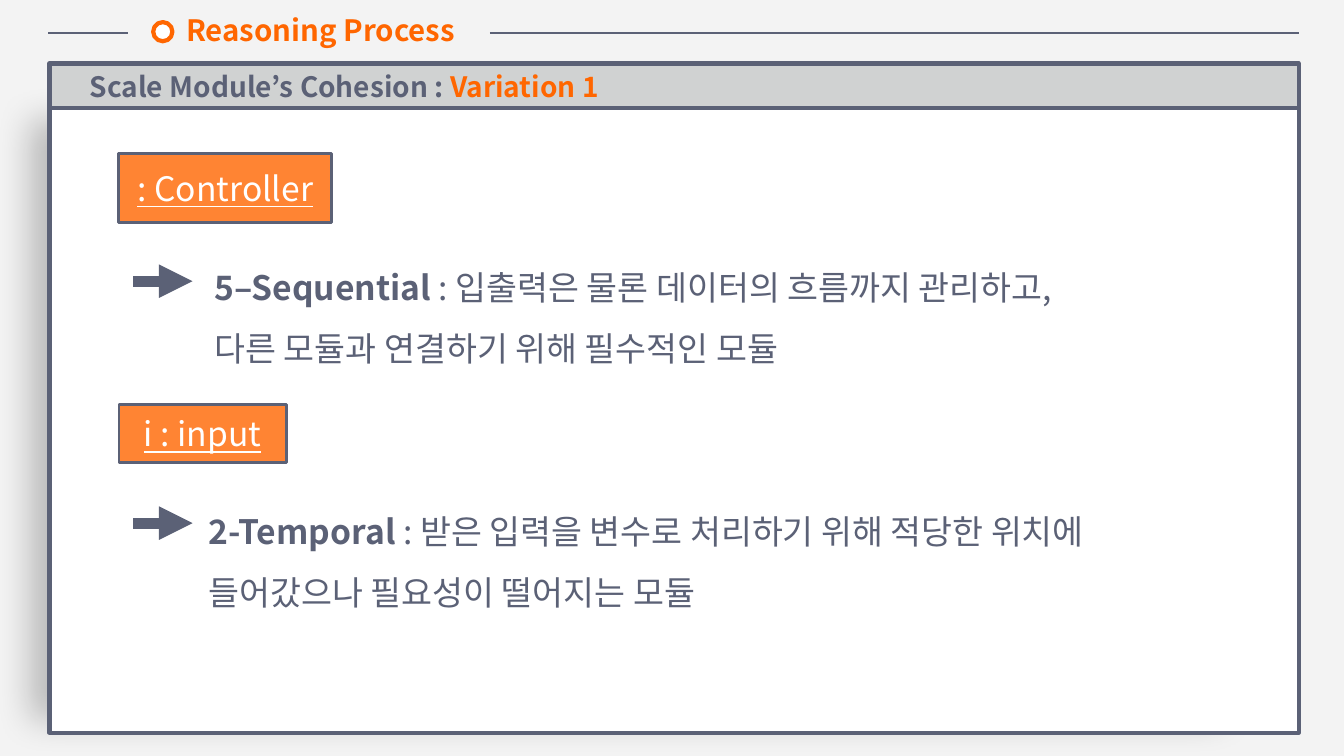
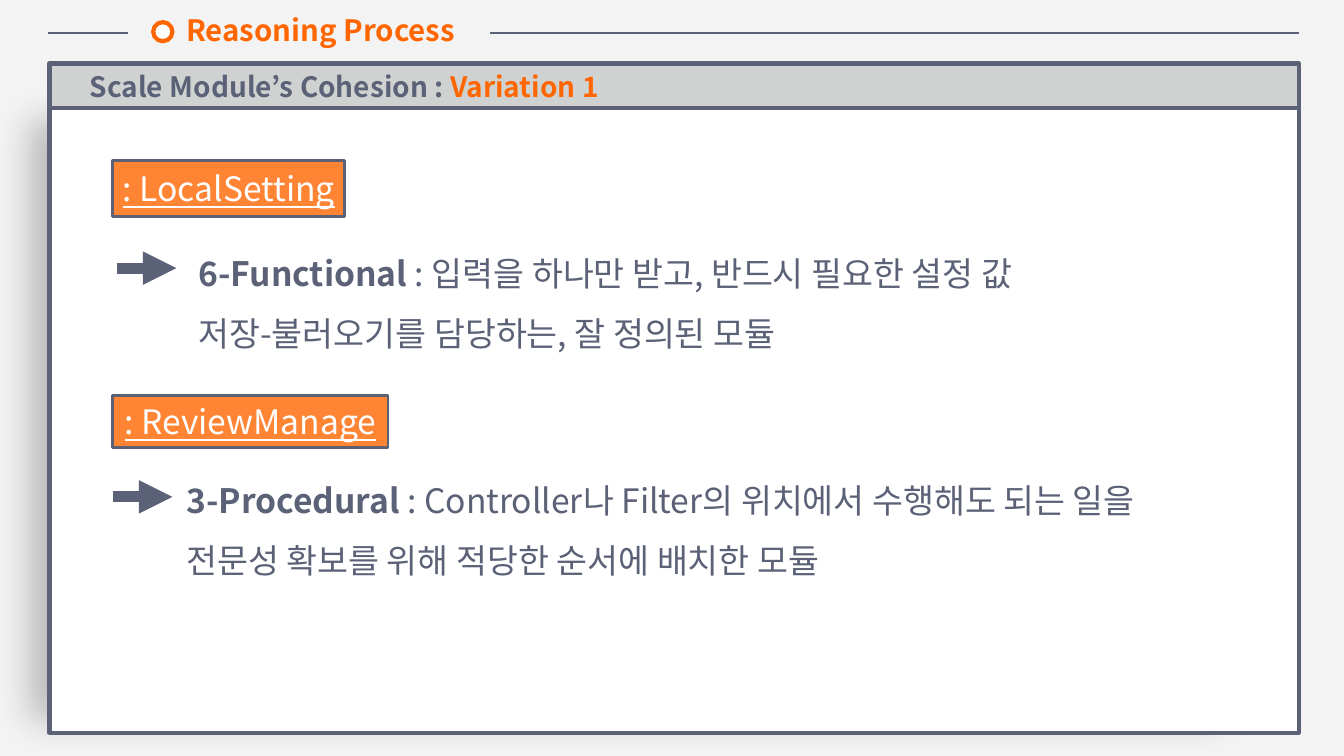
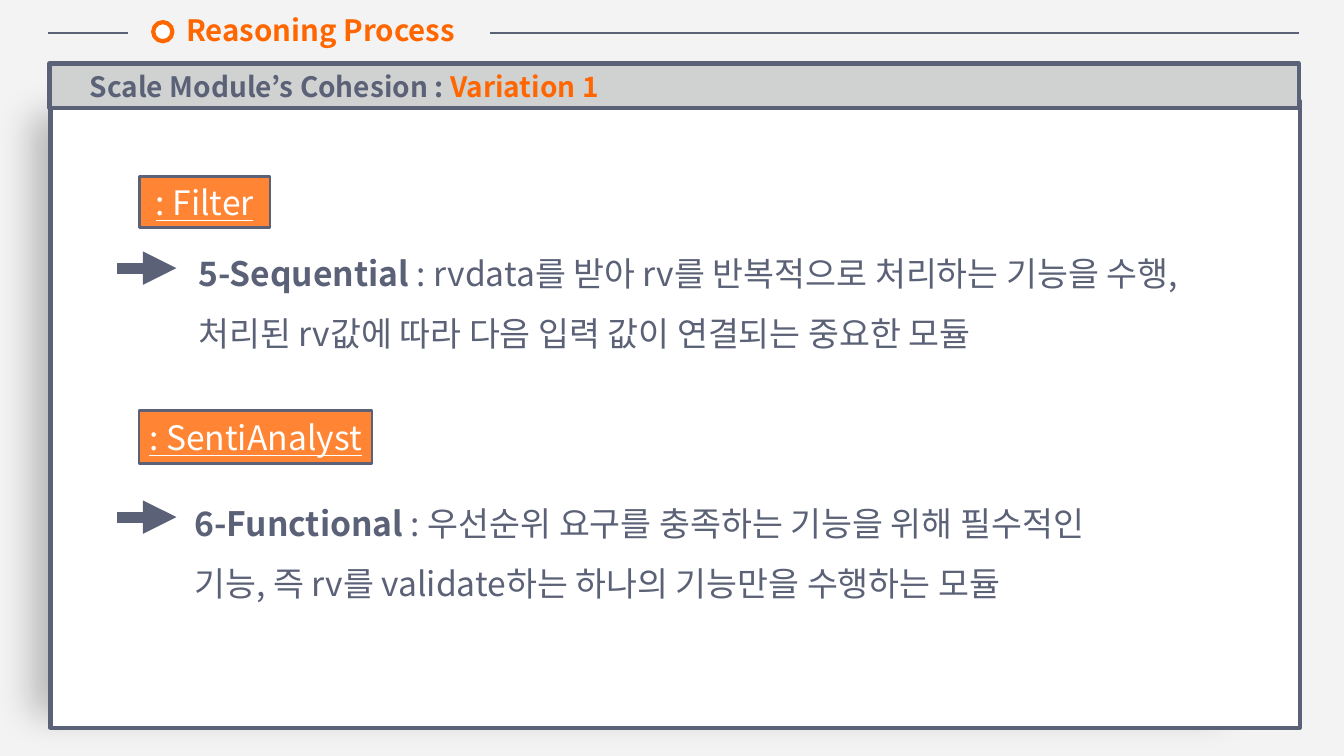
"""Build three slides that rate the cohesion of the scale modules."""
from itertools import cycle

from lxml.etree import SubElement
from pptx import Presentation
from pptx.dml.color import RGBColor
from pptx.enum.shapes import MSO_CONNECTOR, MSO_SHAPE
from pptx.enum.text import MSO_ANCHOR, MSO_AUTO_SIZE, PP_ALIGN
from pptx.oxml.ns import qn
from pptx.util import Emu, Inches, Pt

SLATE, ORANGE, WHITE = "5B6176", "FF6600", "FFFFFF"
BAND_GREY, BACKGROUND = "D0D2D2", "F3F3F3"
FONT = "Noto Sans CJK KR"

SLIDES = [
    {
        "card": (3.68, 14),
        "modules": [
            {"name": ": Controller", "label": (8.85, 20.27, 15.83, 9.2), "arrow": (9.9, 37.2),
             "body": (15.23, 32, 75.92, 17.47), "level": "5–Sequential ",
             "lines": [": 입출력은 물론 데이터의 흐름까지 관리하고,",
                       "다른 모듈과 연결하기 위해 필수적인 모듈"]},
            {"name": "i : input", "label": (8.85, 53.47, 12.45, 7.73), "arrow": (9.9, 69.2),
             "body": (14.78, 64.27, 75.92, 17.47), "level": "2-Temporal ",
             "lines": [": 받은 입력을 변수로 처리하기 위해 적당한 위치에",
                       "들어갔으나 필요성이 떨어지는 모듈"]},
        ],
    },
    {
        "card": (3.68, 14),
        "modules": [
            {"name": ": LocalSetting", "label": (8.4, 21.2, 17.25, 7.47), "arrow": (8.7, 35.47),
             "body": (14.03, 30.13, 75.92, 17.47), "level": "6-Functional ",
             "lines": [": 입력을 하나만 받고, 반드시 필요한 설정 값",
                       "저장-불러오기를 담당하는, 잘 정의된 모듈"]},
            {"name": ": ReviewManage", "label": (8.4, 52.27, 20.48, 6.93), "arrow": (8.4, 65.73),
             "body": (13.13, 60.13, 75.92, 17.47), "level": "3-Procedural ",
             "lines": [": Controller나 Filter의 위치에서 수행해도 되는 일을",
                       "전문성 확보를 위해 적당한 순서에 배치한 모듈"]},
        ],
    },
    {
        "card": (3.75, 13.33),
        "modules": [
            {"name": ": Filter", "label": (10.35, 23.33, 9.75, 6.8), "arrow": (8.7, 35.47),
             "body": (14.03, 30.13, 81.55, 17.47), "level": "5-Sequential ",
             "lines": [": rvdata를 받아 rv를 반복적으로 처리하는 기능을 수행, "
                       "처리된 rv값에 따라 다음 입력 값이 연결되는 중요한 모듈"]},
            {"name": ": SentiAnalyst", "label": (10.35, 54.27, 17.33, 7.07), "arrow": (8.7, 68.4),
             "body": (13.73, 63.2, 78.17, 17.47), "level": "6-Functional ",
             "lines": [": 우선순위 요구를 충족하는 기능을 위해 필수적인",
                       "기능, 즉 rv를 validate하는 하나의 기능만을 수행하는 모듈"]},
        ],
    },
]

deck = Presentation()
deck.slide_width, deck.slide_height = Inches(13.33), Inches(7.5)
backdrop = deck.slide_master.background.fill
backdrop.solid()
backdrop.fore_color.rgb = RGBColor.from_string(BACKGROUND)


def spot(*shares):
    """Turn percentages of the slide's width and height into lengths."""
    sides = cycle((deck.slide_width, deck.slide_height))
    return [Emu(round(share * side / 100)) for share, side in zip(shares, sides)]


def write(para, text, color, **formats):
    """Add a span of text with the given colour and font values."""
    span = para.add_run()
    span.text = text
    span.font.color.rgb = RGBColor.from_string(color)
    for name, value in {"name": FONT, **formats}.items():
        setattr(span.font, name, value)
    SubElement(span.font._element, qn("a:ea"), typeface=FONT)


for content in SLIDES:
    page = deck.slides.add_slide(deck.slide_layouts[5])
    modules = content["modules"]

    title = page.shapes.title
    title.left, title.top, title.width, title.height = spot(13.35, 1.6, 21, 4.8)
    frame_values = {"word_wrap": False, "auto_size": MSO_AUTO_SIZE.NONE,
                    "vertical_anchor": MSO_ANCHOR.MIDDLE, "margin_left": 0,
                    "margin_right": 0, "margin_top": 0, "margin_bottom": 0}
    for name, value in frame_values.items():
        setattr(title.text_frame, name, value)
    title.text_frame.paragraphs[0].alignment = PP_ALIGN.CENTER
    write(title.text_frame.paragraphs[0], "Reasoning Process", ORANGE, size=Pt(21), bold=True)

    outlines = [
        (MSO_SHAPE.RECTANGLE, (*content["card"], 92.95, 82.93), WHITE, SLATE, 3),
        (MSO_SHAPE.RECTANGLE, (3.68, 8.4, 92.95, 5.87), BAND_GREY, SLATE, 3),
        (MSO_SHAPE.OVAL, (11.4, 2.93, 1.43, 2.53), WHITE, ORANGE, 3),
    ]
    outlines += [(MSO_SHAPE.RECTANGLE, module["label"], ORANGE, SLATE, 2) for module in modules]
    boxes = []
    for kind, area, fill, line, weight in outlines:
        box = page.shapes.add_shape(kind, *spot(*area))
        box.shadow.inherit = False
        box.fill.solid()
        box.fill.fore_color.rgb = RGBColor.from_string(fill)
        box.line.color.rgb = RGBColor.from_string(line)
        box.line.width = Pt(weight)
        boxes.append(box)
    card, band, ring, *labels = boxes

    effects = card.element.spPr.find(qn("a:effectLst"))
    shadow = SubElement(effects, qn("a:outerShdw"), blurRad=str(Pt(25)), dist=str(Pt(57)),
                        dir="10800000", sx="95000", sy="95000", algn="r", rotWithShape="0")
    shade = SubElement(shadow, qn("a:srgbClr"), val="000000")
    SubElement(shade, qn("a:alpha"), val="24000")

    for label, module in zip(labels, modules):
        tint = label.element.spPr.find(qn("a:solidFill")).find(qn("a:srgbClr"))
        SubElement(tint, qn("a:alpha"), val="80000")
        label.text_frame.word_wrap = True
        label.text_frame.vertical_anchor = MSO_ANCHOR.MIDDLE
        para = label.text_frame.paragraphs[0]
        para.alignment = PP_ALIGN.CENTER
        write(para, module["name"], WHITE, size=Pt(24), underline=True)

    strokes = [(3.6, 4.4, 5.93, 1.75, False), (36.46, 4.4, 60.16, 1.75, False)]
    strokes += [(*module["arrow"], 4.43, 8, True) for module in modules]
    for left, top, length, weight, pointed in strokes:
        stroke = page.shapes.add_connector(MSO_CONNECTOR.STRAIGHT,
                                           *spot(left, top, left + length, top))
        stroke.line.color.rgb = RGBColor.from_string(SLATE)
        stroke.line.width = Pt(weight)
        if pointed:
            SubElement(stroke.element.spPr.find(qn("a:ln")), qn("a:tailEnd"), type="triangle")
        SubElement(stroke.element.spPr, qn("a:effectLst"))

    heading = page.shapes.add_textbox(*spot(5.93, 8.53, 48.31, 5.87))
    heading.text_frame.word_wrap = True
    para = heading.text_frame.paragraphs[0]
    write(para, "Scale Module’s Cohesion : ", SLATE, size=Pt(20), bold=True)
    write(para, "Variation 1", ORANGE, size=Pt(20), bold=True)

    for module in modules:
        frame = page.shapes.add_textbox(*spot(*module["body"])).text_frame
        frame.word_wrap = True
        frame.auto_size = MSO_AUTO_SIZE.SHAPE_TO_FIT_TEXT
        write(frame.paragraphs[0], module["level"], SLATE, size=Pt(24), bold=True)
        for row, text in enumerate(module["lines"]):
            para = frame.add_paragraph() if row else frame.paragraphs[0]
            para.line_spacing = 1.5
            write(para, text, SLATE, size=Pt(24), bold=False)

deck.save("out.pptx")
